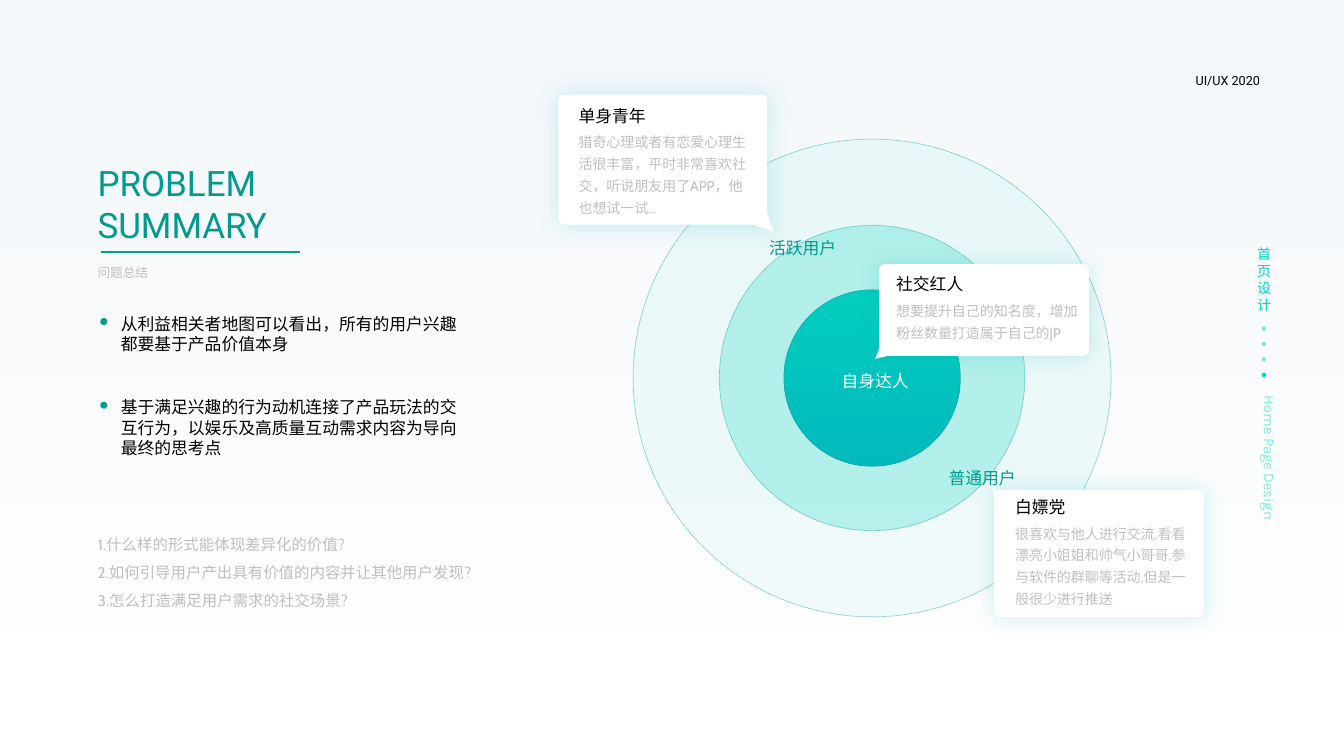
from math import cos, pi, sin

from lxml.etree import SubElement
from pptx import Presentation
from pptx.dml.color import RGBColor as Rgb
from pptx.enum.dml import MSO_LINE as Dash
from pptx.enum.shapes import MSO_CONNECTOR as Connector, MSO_SHAPE as Shape
from pptx.enum.text import MSO_AUTO_SIZE as AutoSize, PP_ALIGN as Align
from pptx.oxml.ns import qn
from pptx.util import Pt

PX = 9144
COLORS = {
    "sky": "F3F7FA", "white": "FFFFFF", "black": "000000", "grey": "BFBFBF",
    "mint": "00D4C0", "pale": "7EE9DF", "green": "029E8F", "title": "009B8C",
    "core_top": "03CEBE", "core_bottom": "02B9BD", "core_line": "1EAAAC",
    "glow": "00B4BA",
}
CARD_RADIUS = 6
CORNER_STEPS = 6


def px(*lengths):
    """Turn px lengths into EMU."""
    return [round(length * PX) for length in lengths]


def rgb(name):
    """Look up a colour by name."""
    return Rgb.from_string(COLORS[name])


def set_alpha(fill, percent):
    """Make a solid fill partly transparent."""
    color = fill._xPr.find(qn("a:solidFill"))[0]
    SubElement(color, qn("a:alpha")).set("val", str(percent * 1000))


def set_gradient(fill, top, bottom):
    """Fill from one colour at the top to another at the bottom."""
    fill.gradient()
    fill.gradient_angle = 270
    for stop, name in zip(fill.gradient_stops, (top, bottom)):
        stop.color.rgb = rgb(name)


def add_text(page, box, lines, size, font, color, spacing=None,
             align=Align.LEFT, wrap=True, vertical=None):
    """Add a text box with one paragraph per line."""
    shape = page.shapes.add_textbox(*px(*box))
    frame = shape.text_frame
    frame.word_wrap = wrap
    frame.auto_size = AutoSize.SHAPE_TO_FIT_TEXT
    if vertical:
        frame._txBody.bodyPr.set("vert", vertical)
    for index, line in enumerate(lines):
        para = frame.add_paragraph() if index else frame.paragraphs[0]
        para.alignment = align
        if spacing:
            para.line_spacing = spacing
        span = para.add_run()
        span.text = line
        span.font.size = Pt(size)
        span.font.name = font
        span.font.color.rgb = rgb(color)


def add_circle(page, center_x, center_y, diameter, color, alpha=100):
    """Add a circle without outline around a centre."""
    left, top = center_x - diameter / 2, center_y - diameter / 2
    circle = page.shapes.add_shape(Shape.OVAL, *px(left, top, diameter, diameter))
    circle.shadow.inherit = False
    circle.fill.solid()
    circle.fill.fore_color.rgb = rgb(color)
    if alpha < 100:
        set_alpha(circle.fill, alpha)
    circle.line.fill.background()
    return circle


def add_rings(page, center_x, center_y):
    """Draw the concentric user circles and the solid core."""
    for diameter, alpha in ((474, 5), (303, 24)):
        ring = add_circle(page, center_x, center_y, diameter, "mint", alpha)
        ring.line.color.rgb = rgb("green")
        set_alpha(ring.line.fill, 50)
        ring.line.width = Pt(0.5)
        ring.line.dash_style = Dash.SQUARE_DOT
    core = add_circle(page, center_x, center_y, 175, "mint")
    set_gradient(core.fill, "core_top", "core_bottom")
    core.line.color.rgb = rgb("core_line")
    core.line.width = Pt(0.5)


def add_ring_labels(page, center_x, center_y):
    """Name the three circles."""
    add_text(page, (center_x - 112, center_y - 144, 124, 30), ["活跃用户"], 12, "Karla", "title")
    add_text(page, (center_x - 59, center_y - 12, 124, 30), ["自身达人"], 12, "Cabin", "white",
             align=Align.CENTER)
    add_text(page, (center_x + 66, center_y + 84, 124, 30), ["普通用户"], 12, "Karla", "title")


def card_outline(box, tail_corner, tail):
    """List the points of a rounded box, clockwise, with a tail at one corner."""
    left, top, width, height = box
    right, bottom = left + width, top + height
    radius = CARD_RADIUS
    centers = ((left + radius, top + radius), (right - radius, top + radius),
               (right - radius, bottom - radius), (left + radius, bottom - radius))
    points = []
    for corner, (x, y) in enumerate(centers):
        if corner == tail_corner:
            points += [(left + tail_x, top + tail_y) for tail_x, tail_y in tail]
            continue
        for step in range(CORNER_STEPS + 1):
            angle = pi + (corner + step / CORNER_STEPS) * pi / 2
            points.append((x + radius * cos(angle), y + radius * sin(angle)))
    return points


def add_card(page, box, tail_corner, tail, text_offset, text_width, title, body):
    """Draw a glowing speech card with its title and body."""
    points = [px(*point) for point in card_outline(box, tail_corner, tail)]
    builder = page.shapes.build_freeform(*points[0], scale=1.0)
    builder.add_line_segments(points[1:], close=True)
    card = builder.convert_to_shape()
    card.fill.solid()
    card.fill.fore_color.rgb = rgb("white")
    card.line.fill.background()
    effects = SubElement(card._element.spPr, qn("a:effectLst"))
    glow = SubElement(effects, qn("a:outerShdw"), blurRad=str(Pt(16)), dist="0",
                      dir="0", algn="ctr", rotWithShape="0")
    color = SubElement(glow, qn("a:srgbClr"), val=COLORS["glow"])
    SubElement(color, qn("a:alpha"), val="20000")
    left, top = box[0] + text_offset[0], box[1] + text_offset[1]
    add_text(page, (left, top, 124, 30), [title], 12, "Karla", "black")
    add_text(page, (left, top + 23, text_width, box[3] - 33), [body], 10, "Cabin", "grey", 1.3)


def add_heading(page, left, top):
    """Write the title, its rule and the subtitle."""
    add_text(page, (left, top, 224, 94), ["PROBLEM", "SUMMARY"], 25, "Roboto", "title", wrap=False)
    rule = page.shapes.add_connector(
        Connector.STRAIGHT, *px(left + 13, top + 95, left + 211, top + 95))
    rule.line.color.rgb = rgb("green")
    rule.line.width = Pt(1.5)
    SubElement(rule._element.spPr, qn("a:effectLst"))
    add_text(page, (left, top + 103, 71, 25), ["问题总结"], 9, "Karla", "grey", wrap=False)


def add_finding(page, left, top, height, text):
    """Write one finding beside its dot."""
    add_circle(page, left + 16, top + 13, 7, "green")
    add_text(page, (left + 23, top, 368, height), [text], 12, "Cabin", "black")


def add_side_label(page, left, top):
    """Write the vertical section label with its page dots."""
    add_text(page, (left, top, 27, 77), ["首页设计"], 10, "Roboto", "mint")
    for index, alpha in enumerate((50, 50, 50, 100)):
        add_circle(page, left + 16.5, top + 87 + index * 15.3, 4.4, "mint", alpha)
    add_text(page, (left - 2, top + 144, 38, 222), ["Home Page Design"], 10.5, "Karla", "pale",
             vertical="eaVert")


def build_page(page):
    """Place every region of the slide."""
    set_gradient(page.background.fill, "sky", "white")
    add_rings(page, 865, 375)
    add_card(page, (872, 262, 208, 91), 3, ((9, 91), (-4, 94), (0, 84)), (7, 5), 203,
             "社交红人", "想要提升自己的知名度，增加粉丝数量打造属于自己的|P")
    add_card(page, (554, 94, 207, 129), 2, ((207, 117), (213, 136), (193, 129)), (10, 6), 188,
             "单身青年", "猎奇心理或者有恋爱心理生活很丰富，平时非常喜欢社交，听说朋友用了APP，他也想试一试...")
    add_card(page, (986, 486, 208, 126), 0, ((0, 4), (-2, -2), (4, 0)), (11, 2), 190,
             "白嫖党", "很喜欢与他人进行交流,看看漂亮小姐姐和帅气小哥哥,参与软件的群聊等活动,但是一般很少进行推送")
    add_ring_labels(page, 865, 375)
    add_text(page, (1176, 67, 98, 25), ["UI/UX 2020"], 9, "Roboto", "black", wrap=False)
    add_side_label(page, 1237, 239)
    add_heading(page, 87, 155)
    add_finding(page, 87, 306, 50, "从利益相关者地图可以看出，所有的用户兴趣都要基于产品价值本身")
    add_finding(page, 87, 389, 71,
                "基于满足兴趣的行为动机连接了产品玩法的交互行为，以娱乐及高质量互动需求内容为导向最终的思考点")
    questions = ["1.什么样的形式能体现差异化的价值?",
                 "2.如何引导用户产出具有价值的内容并让其他用户发现?",
                 "3.怎么打造满足用户需求的社交场景?"]
    add_text(page, (87, 517, 461, 91), questions, 11, "Cabin", "grey", 1.5)


def main():
    """Build and save the deck."""
    deck = Presentation()
    deck.slide_width, deck.slide_height = px(1333, 750)
    build_page(deck.slides.add_slide(deck.slide_layouts[6]))
    deck.save("out.pptx")


if __name__ == "__main__":
    main()
